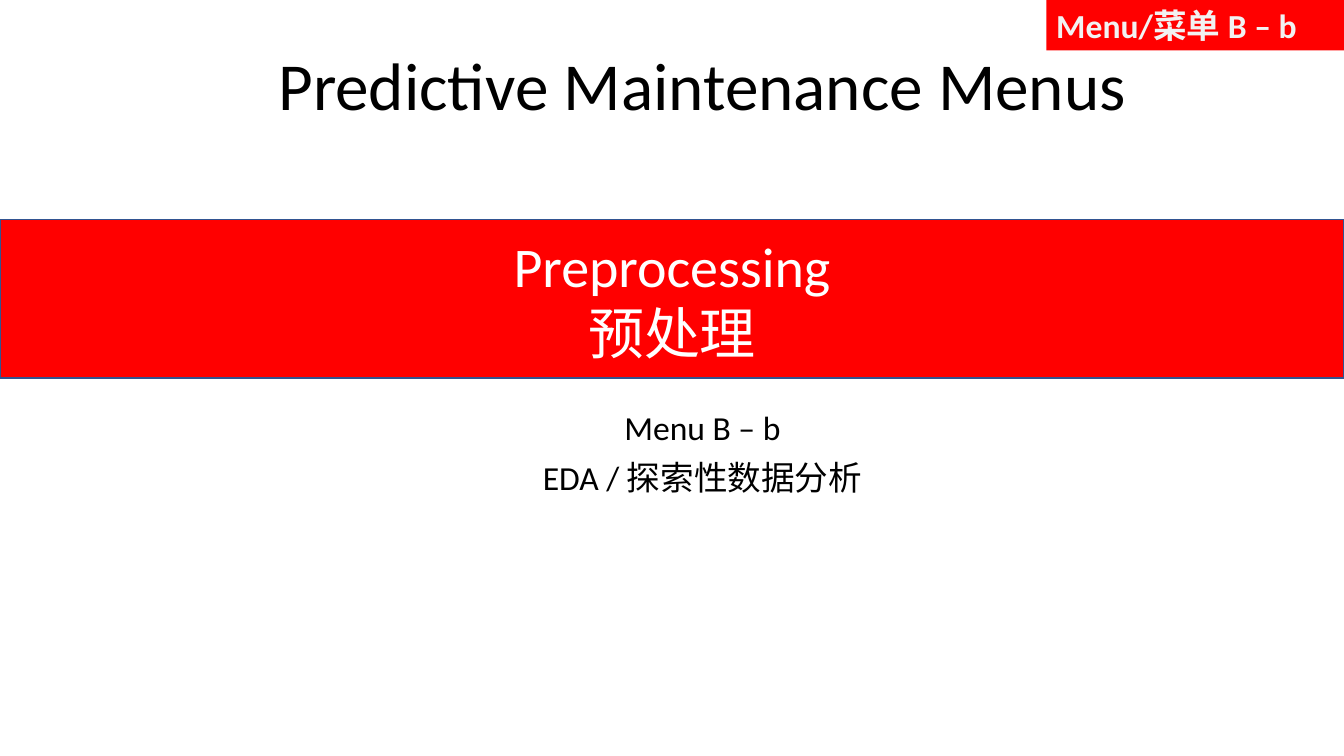
from pptx import Presentation
from pptx.dml.color import RGBColor
from pptx.enum.shapes import MSO_SHAPE
from pptx.enum.text import MSO_ANCHOR, MSO_AUTO_SIZE, PP_ALIGN
from pptx.util import Pt

TITLE = "Predictive Maintenance Menus"
BANNER = ["Preprocessing", "预处理"]
SUBTITLE = ["Menu B – b", "EDA / 探索性数据分析"]
TAG = "Menu/菜单 B – b"

COLORS = {"red": "FF0000", "blue": "325491", "black": "000000",
          "white": "FFFFFF", "pale": "F2F2F2"}
FONT = "Calibri"
W, H = 960, 540
TEXT_W = 720
TEXT_X = 141.8
TAG_W = 212.6


def rgb(name):
    return RGBColor.from_string(COLORS[name])


def write(sp, lines, size, color="black", bold=False, align=PP_ALIGN.CENTER,
          anchor=MSO_ANCHOR.TOP, spacing=1.0, before=0):
    tf = sp.text_frame
    tf.word_wrap = True
    tf.auto_size = MSO_AUTO_SIZE.NONE
    tf.vertical_anchor = anchor
    for i, line in enumerate(lines):
        p = tf.add_paragraph() if i else tf.paragraphs[0]
        p.alignment = align
        p.line_spacing = spacing
        p.space_before = Pt(before)
        r = p.add_run()
        r.text = line
        r.font.name = FONT
        r.font.size = Pt(size)
        r.font.bold = bold
        r.font.color.rgb = rgb(color)


def red_box(x, y, w, h, line=None):
    sp = s.shapes.add_shape(MSO_SHAPE.RECTANGLE, Pt(x), Pt(y), Pt(w), Pt(h))
    sp.shadow.inherit = False
    sp.fill.solid()
    sp.fill.fore_color.rgb = rgb("red")
    if line:
        sp.line.color.rgb = rgb(line)
        sp.line.width = Pt(1)
    else:
        sp.line.fill.background()
    return sp


prs = Presentation()
prs.slide_width, prs.slide_height = Pt(W), Pt(H)
s = prs.slides.add_slide(prs.slide_layouts[5])

title = s.shapes.title
title.left, title.top, title.width, title.height = (
    Pt(v) for v in (TEXT_X, 25.2, TEXT_W, 67.7))
write(title, [TITLE], 48, anchor=MSO_ANCHOR.BOTTOM, spacing=0.9)

subtitle = s.shapes.add_textbox(Pt(TEXT_X), Pt(290.2), Pt(TEXT_W), Pt(73.4))
write(subtitle, SUBTITLE, 24, spacing=0.9, before=10)

banner = red_box(0, 157, W, 113, line="blue")
write(banner, BANNER, 40, color="white", anchor=MSO_ANCHOR.MIDDLE)

tag = red_box(W - TAG_W, 0, TAG_W, 36)
write(tag, [TAG], 24, color="pale", bold=True, align=PP_ALIGN.LEFT)

prs.save("out.pptx")
